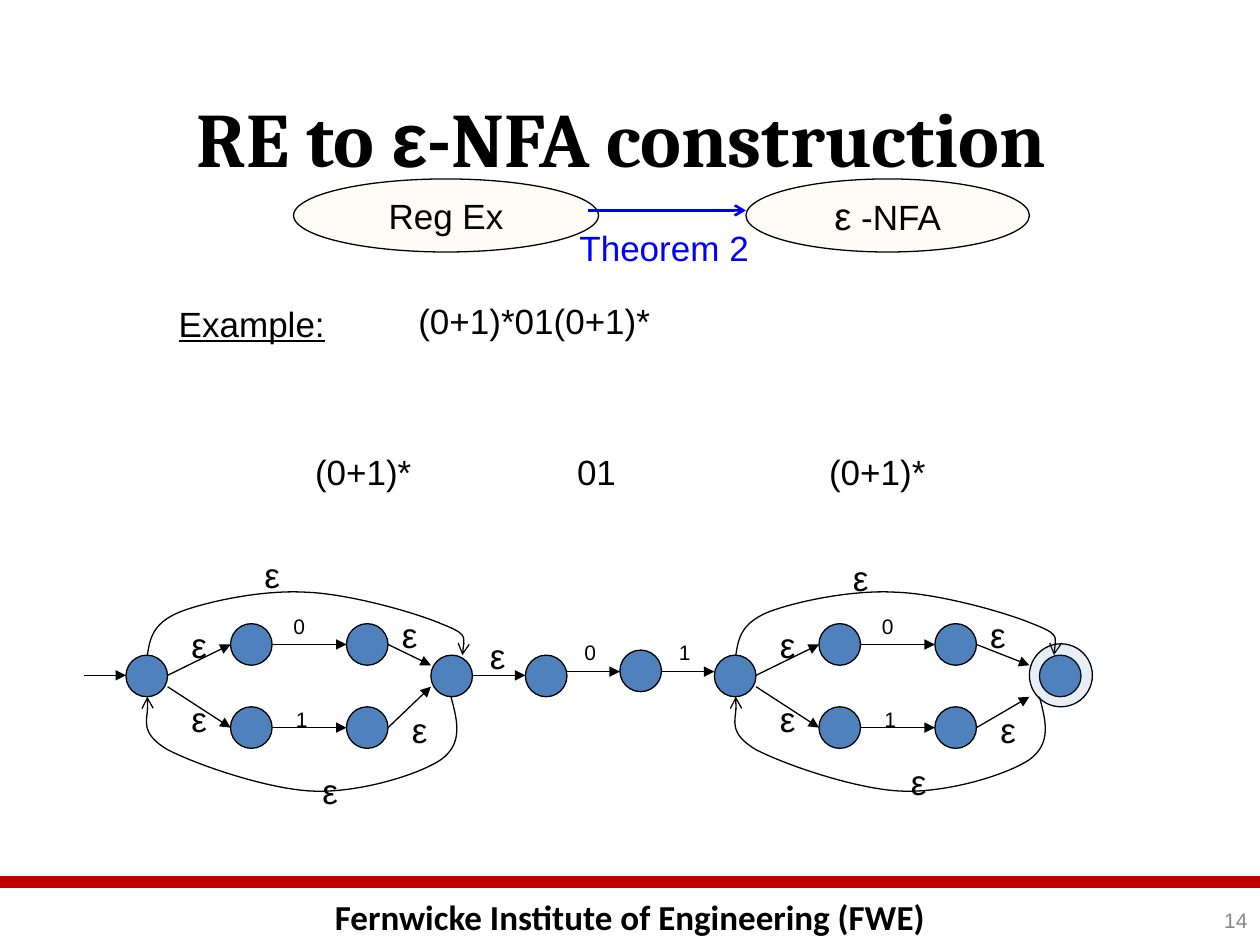
from pptx import Presentation
from pptx.dml.color import RGBColor
from pptx.enum.shapes import MSO_CONNECTOR, MSO_SHAPE
from pptx.enum.text import MSO_ANCHOR, MSO_AUTO_SIZE, PP_ALIGN
from pptx.oxml.ns import qn
from pptx.util import Inches, Pt
from lxml.etree import SubElement

COLORS = {"ink": "000000", "blue": "0000FF", "node": "4F81BD",
          "peach": "FFCC99", "red": "C00000", "gray": "898989"}
NODE = 0.33
MID, TOP, LOW = 5.2, 4.95, 5.61  # tops of the three node rows

# Bezier points, x measured from the middle of the start node
SKIP = [(0, 5.2), (0.02, 5.07), (0.04, 4.95), (0.25, 4.86),
        (0.45, 4.78), (0.9, 4.68), (1.25, 4.7),
        (1.59, 4.71), (2.12, 4.86), (2.33, 4.95),
        (2.54, 5.03), (2.52, 5.11), (2.5, 5.2)]
BACK = [(2.41, 5.53), (2.46, 5.72), (2.51, 5.9), (2.33, 6.03),
        (2.15, 6.15), (1.69, 6.29), (1.33, 6.28),
        (0.97, 6.27), (0.39, 6.07), (0.16, 5.95),
        (-0.06, 5.82), (0.02, 5.6), (0, 5.53)]


def color(name):
    return RGBColor.from_string(COLORS[name])


def style(run, tint="ink", **form):
    values = {"name": "Arial", "size": 20, **form}
    values["size"] = Pt(values["size"])
    for key, value in values.items():
        setattr(run.font, key, value)
    run.font.color.rgb = color(tint)


def write(frame, runs, align=PP_ALIGN.LEFT):
    para = frame.paragraphs[0]
    para.alignment = align
    for text, form in runs:
        run = para.add_run()
        run.text = text
        style(run, **form)


def label(slide, text, x, y, w, h=0.44, align=PP_ALIGN.LEFT,
          wrap=False, inset=0.1, anchor=MSO_ANCHOR.TOP, **form):
    box = slide.shapes.add_textbox(Inches(x), Inches(y), Inches(w), Inches(h))
    frame = box.text_frame
    values = {"word_wrap": wrap, "margin_left": Inches(inset),
              "vertical_anchor": anchor,
              "auto_size": MSO_AUTO_SIZE.SHAPE_TO_FIT_TEXT}
    for key, value in values.items():
        setattr(frame, key, value)
    write(frame, [(text, form)], align)


def epsilon(slide, x, y):
    label(slide, "ε", x, y, 0.32)


def digit(slide, text, x, y):
    label(slide, text, x, y, 0.29, 0.3, size=12)


def stroke(shape, tint="ink", width=0.75, tip=None):
    shape.line.color.rgb = color(tint)
    shape.line.width = Pt(width)
    if tip:
        SubElement(shape.line._get_or_add_ln(), qn("a:tailEnd"), type=tip)


def arrow(slide, x1, y1, x2, y2, tint="ink", width=0.75, tip="triangle"):
    line = slide.shapes.add_connector(
        MSO_CONNECTOR.STRAIGHT, Inches(x1), Inches(y1), Inches(x2), Inches(y2))
    stroke(line, tint, width, tip)
    SubElement(line._element.spPr, qn("a:effectLst"))


def oval(slide, x, y, w=NODE, h=NODE, fill="node", alpha=100, runs=()):
    shape = slide.shapes.add_shape(
        MSO_SHAPE.OVAL, Inches(x), Inches(y), Inches(w), Inches(h))
    shape.shadow.inherit = False
    shape.fill.solid()
    shape.fill.fore_color.rgb = color(fill)
    if alpha < 100:
        tone = shape._element.spPr.find(qn("a:solidFill"))[0]
        SubElement(tone, qn("a:alpha"), val=str(alpha * 1000))
    stroke(shape)
    if runs:
        shape.text_frame.word_wrap = False
        write(shape.text_frame, runs, PP_ALIGN.CENTER)


def curve(slide, x, points, wide=1):
    first, *rest = [(Inches(x + dx * wide), Inches(y)) for dx, y in points]
    maker = slide.shapes.build_freeform(*first)
    maker.add_line_segments(rest, close=False)
    shape = maker.convert_to_shape()
    shape.shadow.inherit = False
    shape.fill.background()
    stroke(shape, tip="arrow")
    # Turn each three line points into one Bezier segment
    track = shape._element.find(".//" + qn("a:path"))
    steps = track.findall(qn("a:lnTo"))
    for i in range(0, len(steps), 3):
        bend = SubElement(track, qn("a:cubicBezTo"))
        for step in steps[i:i + 3]:
            bend.append(step[0])
            track.remove(step)


def star(slide, x, end, tip, join, loop, skip, wide=1):
    """Automaton for (0+1)* that starts at x."""
    left, right = x + 0.83, x + 1.75
    oval(slide, x, MID)
    oval(slide, end, MID)
    rows = [("0", TOP, 1.23, 4.82, 5.36, 5.28), ("1", LOW, 1.25, 5.56, 5.45, join)]
    for text, y, dx, high, leave, land in rows:
        mid = y + NODE / 2
        oval(slide, left, y)
        oval(slide, right, y)
        arrow(slide, x + NODE, leave, left, mid)
        arrow(slide, left + NODE, mid, right, mid)
        arrow(slide, right + NODE, mid, tip, land)
        digit(slide, text, x + dx, high)
    for dx, y in [(0.42, 4.9), (0.42, 5.49), (2.09, 4.82), (2.17, 5.57),
                  (1.46, loop), (1, skip)]:
        epsilon(slide, x + dx, y)
    curve(slide, x + 0.17, BACK)
    curve(slide, x + 0.17, SKIP, wide)


def link(slide):
    """Automaton for 01 between the two stars."""
    arrow(slide, 3.75, 5.36, 4.17, 5.36)
    oval(slide, 4.17, MID)
    epsilon(slide, 3.79, 4.99)
    oval(slide, 4.92, 5.16)
    for text, x in [("0", 4.5), ("1", 5.25)]:
        arrow(slide, x, 5.33, x + 0.42, 5.33)
        digit(slide, text, x + 0.04, 5.03)


def head(slide):
    title = slide.shapes.title
    spots = {"left": 0.75, "top": 0.67, "width": 8.5, "height": 1.25}
    for key, value in spots.items():
        setattr(title, key, Inches(value))
    title.text_frame.vertical_anchor = MSO_ANCHOR.TOP
    bold = {"size": 44, "bold": True}
    serif = {**bold, "name": "Cambria"}
    write(title.text_frame, [("RE to ", serif), ("ε", bold),
                             ("-NFA construction ", serif)], PP_ALIGN.CENTER)


def foot(slide):
    label(slide, "Fernwicke Institute of Engineering (FWE)", 0, 7.06, 10,
          align=PP_ALIGN.CENTER, wrap=True, name="Calibri", bold=True)
    arrow(slide, 0, 7, 10, 7, "red", 7, None)
    label(slide, "14", 7.67, 7.1, 2.33, 0.4, PP_ALIGN.RIGHT, True,
          anchor=MSO_ANCHOR.MIDDLE, size=12, tint="gray")


def main():
    deck = Presentation()
    deck.slide_width, deck.slide_height = Inches(10), Inches(7.5)
    slide = deck.slides.add_slide(deck.slide_layouts[5])
    foot(slide)
    head(slide)

    # Theorem
    oval(slide, 5.92, 1.42, 2.25, 0.58, "peach", 8,
         [("ε", {"size": 22}), (" -NFA", {})])
    oval(slide, 2.33, 1.42, 2.42, 0.58, "peach", 8, [("Reg Ex", {})])
    arrow(slide, 4.67, 1.67, 5.92, 1.67, "blue", 1.5, "arrow")
    label(slide, "Theorem 2", 4.5, 1.75, 1.58, tint="blue")

    # Example and its parts
    label(slide, "Example:", 1.32, 2.35, 1.36, underline=True)
    label(slide, "(0+1)*01(0+1)*", 2.83, 2.33, 2.75, wrap=True, inset=0.49)
    for text, x, w in [("(0+1)*", 2.17, 1.25), ("01", 4.25, 0.83),
                       ("(0+1)*", 6.25, 1.25)]:
        label(slide, text, x, 3.53, w, wrap=True, inset=0.33)

    # Automaton
    arrow(slide, 0.67, 5.36, 1, 5.36)
    star(slide, 1, 3.42, 3.42, 5.45, 6.06, 4.34)
    link(slide)
    star(slide, 5.67, 8.25, 8.17, 5.53, 5.99, 4.37, 1.01)
    oval(slide, 8.17, 5.11, 0.5, 0.5, alpha=13)
    deck.save("out.pptx")


if __name__ == "__main__":
    main()
